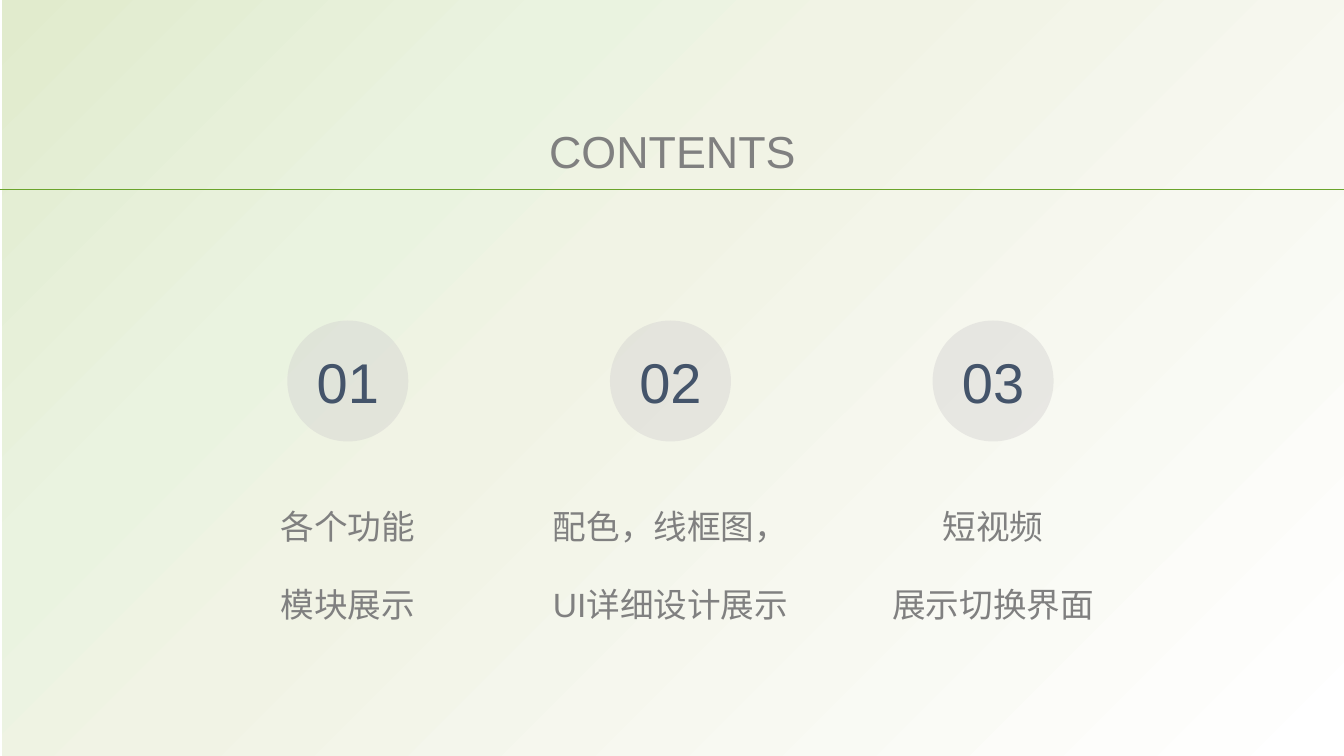
"""Build a contents slide with three numbered topics on a soft green gradient."""
from copy import deepcopy
from dataclasses import dataclass

from lxml import etree
from pptx import Presentation
from pptx.dml.color import RGBColor
from pptx.enum.shapes import MSO_CONNECTOR, MSO_SHAPE
from pptx.enum.text import MSO_ANCHOR, PP_ALIGN
from pptx.oxml.ns import qn
from pptx.util import Inches, Pt

RECTANGLE = MSO_SHAPE.RECTANGLE
OVAL = MSO_SHAPE.OVAL
STRAIGHT = MSO_CONNECTOR.STRAIGHT
CENTER = PP_ALIGN.CENTER
MIDDLE = MSO_ANCHOR.MIDDLE

GREY = RGBColor(0x80, 0x80, 0x80)
SLATE = RGBColor(0x44, 0x54, 0x6A)
SILVER = RGBColor(0xD0, 0xCE, 0xCE)
GREEN = RGBColor(0x6B, 0xA4, 0x2C)
GRADIENT = (
    (0, RGBColor(0xE1, 0xEB, 0xCD)),
    (0.28, RGBColor(0xEA, 0xF3, 0xE0)),
    (0.42, RGBColor(0xF1, 0xF3, 0xE5)),
    (1, RGBColor(0xFF, 0xFF, 0xFF)),
)

FONT = "Arial"
WIDTH, HEIGHT = 13.33, 7.5
RULE_TOP = 1.88
FIRST_CENTER, COLUMN_STEP = 3.45, 3.2
CIRCLE_TOP, CIRCLE_SIZE = 3.18, 1.2
LABEL_TOP, LABEL_WIDTH, LABEL_HEIGHT = 4.97, 2.95, 1.17


@dataclass
class Topic:
    """A number and the two lines below it."""

    number: str
    lines: tuple[str, str]


TOPICS = (
    Topic("01", ("各个功能", "模块展示")),
    Topic("02", ("配色，线框图，", "UI详细设计展示")),
    Topic("03", ("短视频", "展示切换界面")),
)


def write(para, text: str, size: int, color: RGBColor) -> None:
    """Add one centred run to a paragraph."""
    para.alignment = CENTER
    span = para.add_run()
    span.text = text
    span.font.name = FONT
    span.font.size = Pt(size)
    span.font.color.rgb = color


def add_background(page):
    """Draw the diagonal gradient panel."""
    panel = page.shapes.add_shape(
        RECTANGLE, Inches(0.02), 0, Inches(WIDTH - 0.02), Inches(HEIGHT))
    panel.shadow.inherit = False
    panel.line.fill.background()
    panel.fill.gradient()
    panel.fill.gradient_angle = 315
    stop_list = panel.element.spPr.find(".//" + qn("a:gsLst"))
    for _ in range(len(GRADIENT) - len(stop_list)):
        stop_list.append(deepcopy(stop_list[0]))
    for stop, (position, color) in zip(panel.fill.gradient_stops, GRADIENT):
        stop.position = position
        stop.color.rgb = color


def add_heading(page) -> None:
    """Draw the green rule and place the title above it."""
    rule = page.shapes.add_connector(
        STRAIGHT, 0, Inches(RULE_TOP), Inches(WIDTH), Inches(RULE_TOP))
    rule.line.color.rgb = GREEN
    rule.line.width = Pt(0.75)
    etree.SubElement(rule.element.spPr, qn("a:effectLst"))
    title = page.shapes.title
    title.left, title.top = Inches(0.92), Inches(1.17)
    title.width, title.height = Inches(11.5), Inches(0.72)
    title.text_frame.vertical_anchor = MIDDLE
    para = title.text_frame.paragraphs[0]
    para.line_spacing = 0.9
    write(para, "CONTENTS", 32, GREY)
    rule.element.addnext(title.element)


def add_topic(page, topic: Topic, center: float) -> None:
    """Draw a numbered circle with its label around a centre line."""
    circle = page.shapes.add_shape(
        OVAL, Inches(center - CIRCLE_SIZE / 2), Inches(CIRCLE_TOP),
        Inches(CIRCLE_SIZE), Inches(CIRCLE_SIZE))
    circle.shadow.inherit = False
    circle.line.fill.background()
    circle.fill.solid()
    circle.fill.fore_color.rgb = SILVER
    color = circle.element.spPr.find(".//" + qn("a:srgbClr"))
    etree.SubElement(color, qn("a:alpha"), val="40000")
    circle.text_frame.vertical_anchor = MIDDLE
    write(circle.text_frame.paragraphs[0], topic.number, 40, SLATE)

    label = page.shapes.add_textbox(
        Inches(center - LABEL_WIDTH / 2), Inches(LABEL_TOP),
        Inches(LABEL_WIDTH), Inches(LABEL_HEIGHT))
    frame = label.text_frame
    frame.word_wrap = True
    first, second = topic.lines
    write(frame.paragraphs[0], first, 24, GREY)
    para = frame.add_paragraph()
    para.space_before = Pt(27)
    write(para, second, 24, GREY)


def main() -> None:
    """Build and save the deck."""
    deck = Presentation()
    deck.slide_width, deck.slide_height = Inches(WIDTH), Inches(HEIGHT)
    page = deck.slides.add_slide(deck.slide_layouts.get_by_name("Title Only"))
    add_background(page)
    add_heading(page)
    for index, topic in enumerate(TOPICS):
        add_topic(page, topic, FIRST_CENTER + index * COLUMN_STEP)
    deck.save("out.pptx")


if __name__ == "__main__":
    main()
